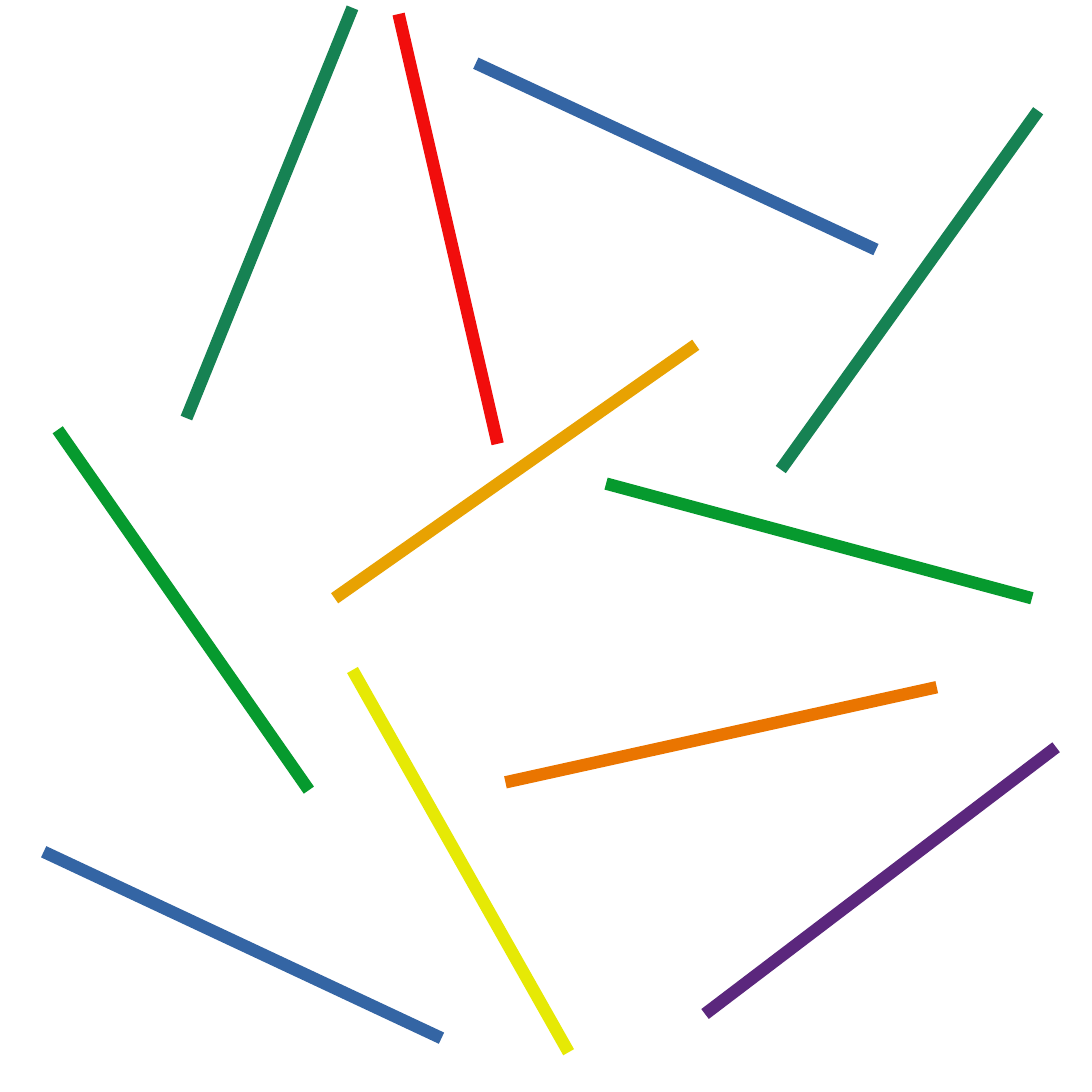
"""Build a square slide with eleven coloured sticks scattered across it."""
from lxml.etree import SubElement
from pptx import Presentation
from pptx.dml.color import RGBColor
from pptx.enum.shapes import MSO_CONNECTOR
from pptx.oxml.ns import qn
from pptx.util import Cm, Pt

PURPLE = RGBColor(0x5B, 0x27, 0x7D)
TEAL = RGBColor(0x16, 0x82, 0x53)
GREEN = RGBColor(0x06, 0x9A, 0x2E)
ORANGE = RGBColor(0xEA, 0x75, 0x00)
RED = RGBColor(0xF1, 0x0D, 0x0C)
BLUE = RGBColor(0x34, 0x65, 0xA4)
GOLD = RGBColor(0xE8, 0xA2, 0x02)
YELLOW = RGBColor(0xE6, 0xE9, 0x05)

SLIDE_SIDE = Cm(14)
STICK_WIDTH = Pt(4.5)
STICKS = [
    (PURPLE, (13.54, 9.58), (9.04, 13)),
    (TEAL, (10.01, 6.02), (13.31, 1.42)),
    (GREEN, (13.23, 7.67), (7.77, 6.2)),
    (ORANGE, (12.01, 8.81), (6.48, 10.03)),
    (RED, (5.11, 0.18), (6.38, 5.69)),
    (GREEN, (0.74, 5.51), (3.96, 10.13)),
    (BLUE, (5.66, 13.31), (0.56, 10.92)),
    (TEAL, (2.39, 5.36), (4.52, 0.1)),
    (GOLD, (4.29, 7.67), (8.92, 4.42)),
    (YELLOW, (7.29, 13.49), (4.52, 8.59)),
    (BLUE, (11.23, 3.2), (6.1, 0.81)),
]


def add_stick(slide, color, start, end):
    connector = slide.shapes.add_connector(
        MSO_CONNECTOR.STRAIGHT, *(Cm(length) for length in start + end)
    )
    connector.line.color.rgb = color
    connector.line.width = STICK_WIDTH
    SubElement(connector._element.spPr, qn("a:effectLst"))


def main():
    presentation = Presentation()
    presentation.slide_width = presentation.slide_height = SLIDE_SIDE
    blank_layout = presentation.slide_layouts[6]
    slide = presentation.slides.add_slide(blank_layout)
    for color, start, end in STICKS:
        add_stick(slide, color, start, end)
    presentation.save("out.pptx")


if __name__ == "__main__":
    main()
